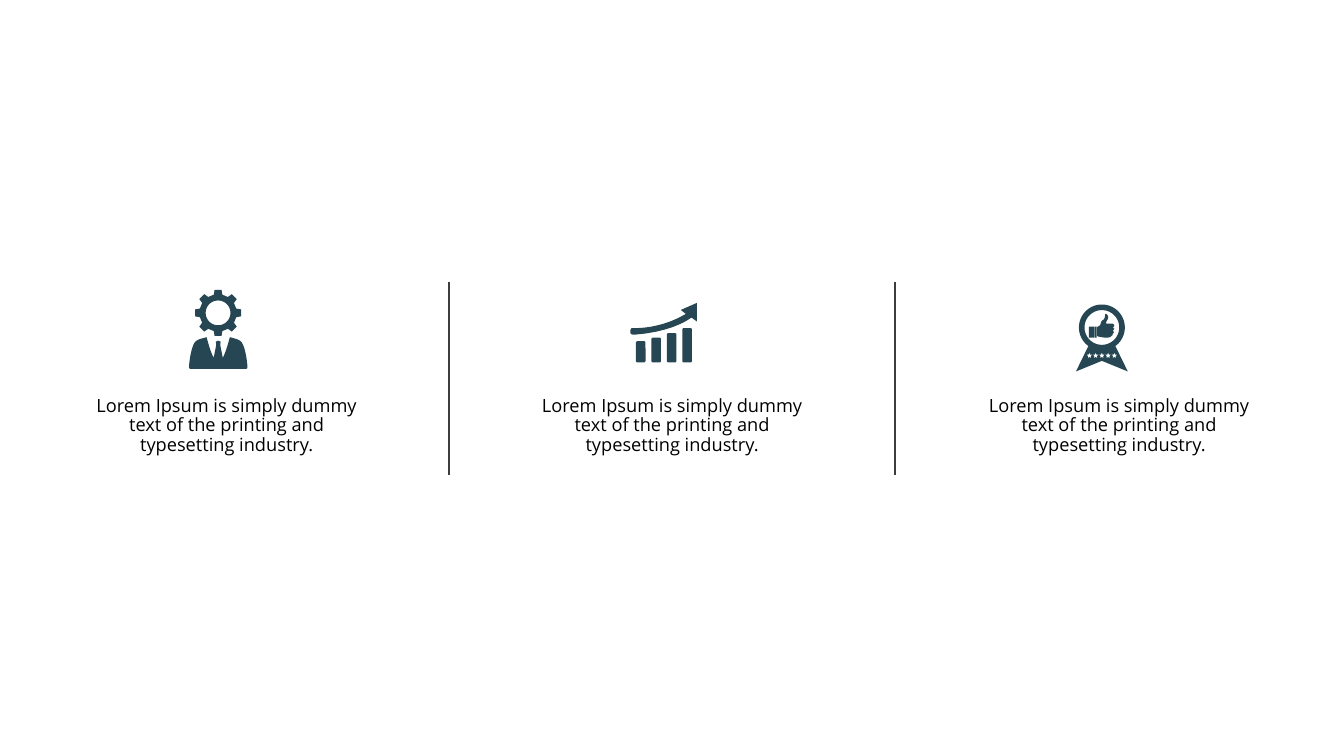
from math import cos, pi, radians, sin

from lxml.etree import SubElement
from pptx import Presentation
from pptx.dml.color import RGBColor
from pptx.enum.shapes import MSO_CONNECTOR, MSO_SHAPE
from pptx.enum.text import MSO_AUTO_SIZE, PP_ALIGN
from pptx.oxml.ns import qn
from pptx.util import Pt

TEXT = "Lorem Ipsum is simply dummy text of the printing and typesetting industry."


def color(value):
    return RGBColor.from_string(value)


def polar(radius, angle):
    return radius * cos(radians(angle)), radius * sin(radians(angle))


def arc(radius, start=0, end=360, steps=72):
    return [polar(radius, start + (end - start) * i / steps) for i in range(steps + 1)]


def rectangle(left, top, right, bottom):
    return [(left, top), (right, top), (right, bottom), (left, bottom)]


def flatten(steps, pieces=10):
    points = []
    for step in steps:
        if len(step) == 2:
            points.append(step)
            continue
        x0, y0 = points[-1]
        x1, y1, x2, y2, x3, y3 = step
        for i in range(1, pieces + 1):
            t = i / pieces
            a, b, c, d = (1 - t) ** 3, 3 * t * (1 - t) ** 2, 3 * t * t * (1 - t), t ** 3
            points.append((a * x0 + b * x1 + c * x2 + d * x3,
                           a * y0 + b * y1 + c * y2 + d * y3))
    return points


def gear():
    points = []
    for turn in range(0, 360, 45):
        for x, y in [(26, -6.1), (32.8, -5), (32.8, 5), (26, 6.1)]:
            across, along = cos(radians(turn)), sin(radians(turn))
            points.append((x * across - y * along, x * along + y * across))
    return points


def suit():
    left = flatten([
        (0, 0), (-3.4, 1.4), (-2.9, 6.4), (-6.5, 24.5),
        (-10.8, 16.6, -14.4, 3.6, -16.6, -5),
        (-23, -2.9, -31.7, -2.2, -34.6, 4.3),
        (-38.2, 10.8, -41, 25.2, -41.8, 37.4),
        (-41.8, 39.6, -41, 40.3, -38.9, 40.3)])
    return left + [(-x, y) for x, y in reversed(left)]


def star(center_x, center_y):
    points = []
    for i in range(10):
        x, y = polar(2 if i % 2 else 4.4, 36 * i - 90)
        points.append((center_x + x, center_y + y))
    return points


def thumb():
    return flatten([
        (-4.7, 13.2), (-3.2, 13.2, -1.1, 13.9, 4.7, 14.6),
        (10.4, 14.6, 12.6, 13.9, 14, 11.7), (16.2, 11, 14.8, 9.5, 16.2, 8.1),
        (17.6, 8.1, 16.9, 6.7, 16.2, 5.3), (15.5, 3.8, 18.4, 2.4, 17.6, 1.7),
        (16.9, 1, 16.2, 1, 16.2, -0.5), (17.6, -1.9, 18.4, -1.9, 16.9, -4.1),
        (16.2, -5.5, 15.5, -5.5, 12.6, -5.5), (6.8, -5.5),
        (5.4, -5.5, 6.1, -8.4, 7.6, -10.6), (9, -12.7, 9.7, -14.9, 8.3, -17.1),
        (6.8, -19.9, 4.7, -19.9, 4.7, -18.5), (4.7, -16.3, 4, -12, 1.8, -10.6),
        (-0.4, -9.9, -1.1, -8.4, -1.8, -4.8), (-3.2, -1.9, -5.4, -1.2, -6.1, -1.2),
        (-6.8, -1.2, -6.8, 1, -6.8, 1.7), (-6.8, 11),
        (-6.8, 12.4, -6.1, 12.4, -4.7, 13.2)])


def growth_arrow():
    return flatten([
        (0, 0), (0, 0, 37.4, 2.2, 74.9, -20.2), (67.7, -25.9), (90.7, -36),
        (90.7, -9.4), (82.8, -15.1), (82.8, -15.1, 59, 5, 2.2, 9.4),
        (2.2, 9.4, -4.3, 10.1, -4.3, 6.5), (-4.3, 3.6, -5, -0.7, 0, 0)])


class Painter:
    font = "Open Sans"
    text_size = 26
    text_color = "000000"
    icon_color = "264653"
    rule_color = "3D3D3D"

    def __init__(self, slide):
        self.slide = slide

    def finish(self, shape):
        shape.shadow.inherit = False
        shape.fill.solid()
        shape.fill.fore_color.rgb = color(self.icon_color)
        shape.line.fill.background()

    def outline(self, x, y, *contours):
        builder = None
        for contour in contours:
            points = [(Pt(x + dx), Pt(y + dy)) for dx, dy in contour]
            if builder is None:
                builder = self.slide.shapes.build_freeform(*points[0])
            else:
                builder.move_to(*points[0])
            builder.add_line_segments(points[1:], close=True)
        self.finish(builder.convert_to_shape())

    def bar(self, left, top, width, height):
        shape = self.slide.shapes.add_shape(
            MSO_SHAPE.ROUNDED_RECTANGLE, Pt(left), Pt(top), Pt(width), Pt(height))
        shape.adjustments[0] = 0.15
        self.finish(shape)

    def rule(self, x, top, bottom):
        line = self.slide.shapes.add_connector(
            MSO_CONNECTOR.STRAIGHT, Pt(x), Pt(top), Pt(x), Pt(bottom))
        line.line.color.rgb = color(self.rule_color)
        line.line.width = Pt(2.75)
        SubElement(line._element.spPr, qn("a:effectLst"))

    def caption(self, left, top, width, height, text):
        box = self.slide.shapes.add_textbox(Pt(left), Pt(top), Pt(width), Pt(height))
        frame = box.text_frame
        frame.word_wrap = True
        frame.auto_size = MSO_AUTO_SIZE.SHAPE_TO_FIT_TEXT
        para = frame.paragraphs[0]
        para.text = text
        para.alignment = PP_ALIGN.CENTER
        para.line_spacing = 0.9
        para.font.name = self.font
        para.font.size = Pt(self.text_size)
        para.font.color.rgb = color(self.text_color)


def main():
    deck = Presentation()
    deck.slide_width, deck.slide_height = Pt(1920.24), Pt(1080)
    painter = Painter(deck.slides.add_slide(deck.slide_layouts[6]))

    for x in (641.5, 1278.7):
        painter.rule(x, 403.2, 679)
    for left in (129.6, 766.1, 1404.7):
        painter.caption(left, 563, 388.8, 101.5, TEXT)

    painter.outline(311.6, 447, gear(), arc(17.7))
    painter.outline(311.8, 486.7, suit())

    for i, top in enumerate((487.4, 482.4, 475.9, 468.7)):
        painter.bar(908.6 + 22.1 * i, top, 13.7, 517.7 - top)
    painter.outline(905, 468.7, growth_arrow())

    ribbon = arc(32.8, 126, 414) + [(37, 62.8), (0, 47.7), (-37, 62.8)]
    stars = [star(8.9 * i, 40.3) for i in range(-2, 3)]
    painter.outline(1574.3, 467.8, ribbon, arc(24.8), thumb(),
                    rectangle(-18.4, -1.2, -11.2, 14.6),
                    rectangle(-10.4, -1.2, -7.6, 14.6), *stars)
    deck.save("out.pptx")


if __name__ == "__main__":
    main()
